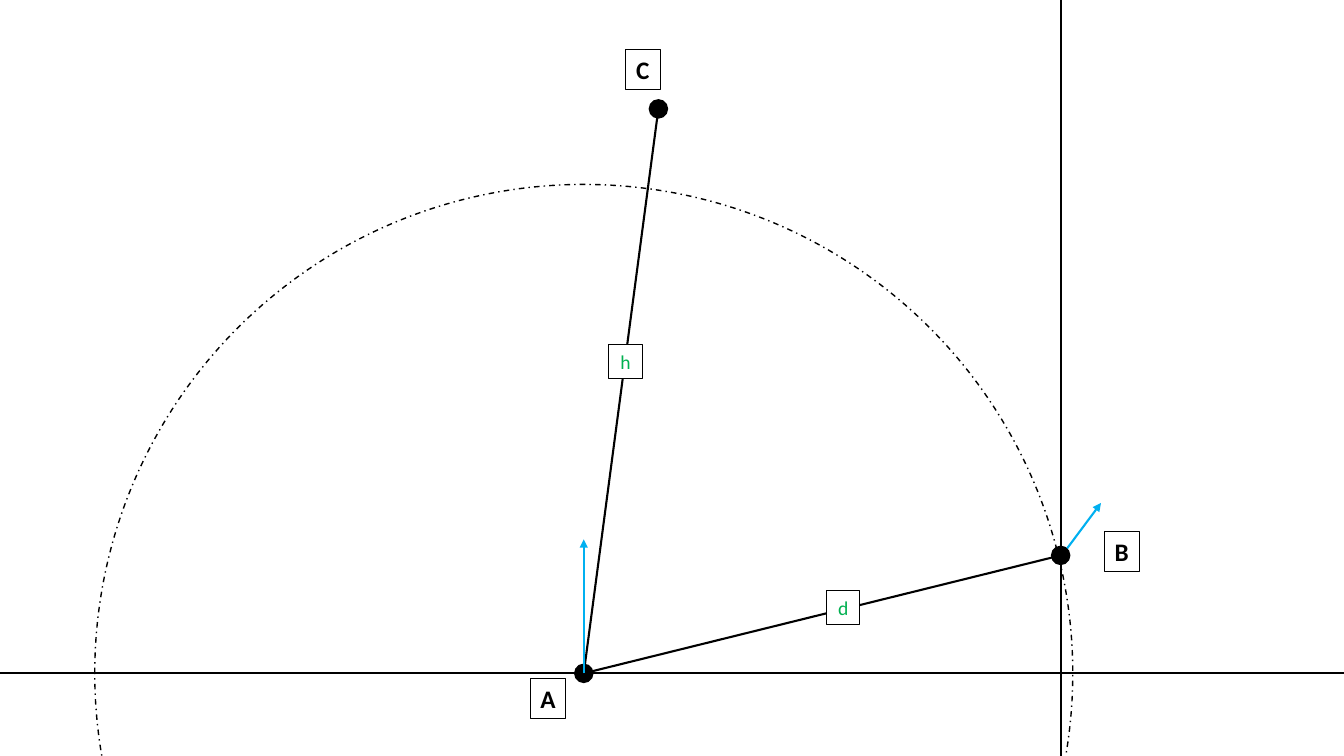
from lxml import etree
from pptx import Presentation
from pptx.dml.color import RGBColor
from pptx.enum.dml import MSO_LINE
from pptx.enum.shapes import MSO_CONNECTOR, MSO_SHAPE
from pptx.enum.text import MSO_ANCHOR, PP_ALIGN
from pptx.oxml.ns import qn
from pptx.util import Pt

PX = 9144  # EMU per px, 100 px to the inch
WIDTH, HEIGHT = 1333, 750
BLACK, WHITE, BLUE, GREEN = "000000", "FFFFFF", "00B0F0", "00B050"

A, B, C = (579, 668), (1052, 551), (653, 108)
RADIUS, DOT_RADIUS = 485, 9
POINT_LABEL = {"size": Pt(18), "bold": True, "name": "Calibri"}
LENGTH_LABEL = {"size": Pt(14), "bold": False, "name": "Calibri"}


def color(hex_string):
    return RGBColor.from_string(hex_string)


def set_all(target, values):
    for name, value in values.items():
        setattr(target, name, value)


def add_line(slide, start, end, line_color=BLACK, arrow=False):
    ends = [value * PX for value in (*start, *end)]
    connector = slide.shapes.add_connector(MSO_CONNECTOR.STRAIGHT, *ends)
    connector.line.color.rgb = color(line_color)
    connector.line.width = Pt(1.5)
    if arrow:
        line = connector.line._get_or_add_ln()
        etree.SubElement(line, qn("a:tailEnd"), type="triangle")
    etree.SubElement(connector._element.spPr, qn("a:effectLst"))


def add_outlined(slide, kind, box, width, fill=None):
    shape = slide.shapes.add_shape(kind, *(value * PX for value in box))
    shape.shadow.inherit = False
    if fill:
        shape.fill.solid()
        shape.fill.fore_color.rgb = color(fill)
    else:
        shape.fill.background()
    shape.line.color.rgb = color(BLACK)
    shape.line.width = Pt(width)
    return shape


def add_circle(slide, center, radius, fill=None):
    x, y = center
    box = (x - radius, y - radius, 2 * radius, 2 * radius)
    return add_outlined(slide, MSO_SHAPE.OVAL, box, 1, fill)


def add_label(slide, text, box, font, text_color, fill=None):
    shape = add_outlined(slide, MSO_SHAPE.RECTANGLE, box, 0.75, fill)
    set_all(shape.text_frame, {
        "margin_left": 0, "margin_right": 0, "margin_top": 0,
        "margin_bottom": 0, "word_wrap": False,
        "vertical_anchor": MSO_ANCHOR.MIDDLE,
    })
    paragraph = shape.text_frame.paragraphs[0]
    paragraph.alignment = PP_ALIGN.CENTER
    run = paragraph.add_run()
    run.text = text
    set_all(run.font, font)
    run.font.color.rgb = color(text_color)


def add_axes(slide, origin):
    x, y = origin
    add_line(slide, (x, HEIGHT), (x, 0))
    add_line(slide, (WIDTH, y), (0, y))


def add_geometry(slide):
    """Draw the circle around A, the segments to B and C, and their labels."""
    add_line(slide, (1051, 554), (1092, 499), BLUE, arrow=True)
    add_line(slide, A, C)
    add_line(slide, A, B)
    add_circle(slide, A, RADIUS).line.dash_style = MSO_LINE.DASH_DOT
    for point in (A, B, C):
        add_circle(slide, point, DOT_RADIUS, BLACK)
    for text, x, y in (("h", 604, 342), ("d", 820, 586)):
        add_label(slide, text, (x, y, 33, 34), LENGTH_LABEL, GREEN, WHITE)
    for text, x, y in (("A", 526, 673), ("B", 1095, 527), ("C", 620, 49)):
        add_label(slide, text, (x, y, 35, 40), POINT_LABEL, BLACK)


def main():
    presentation = Presentation()
    set_all(presentation, {"slide_width": WIDTH * PX, "slide_height": HEIGHT * PX})
    slide = presentation.slides.add_slide(presentation.slide_layouts[6])
    add_geometry(slide)
    add_axes(slide, (B[0], A[1]))
    add_line(slide, A, (A[0], 535), BLUE, arrow=True)
    presentation.save("out.pptx")


if __name__ == "__main__":
    main()
